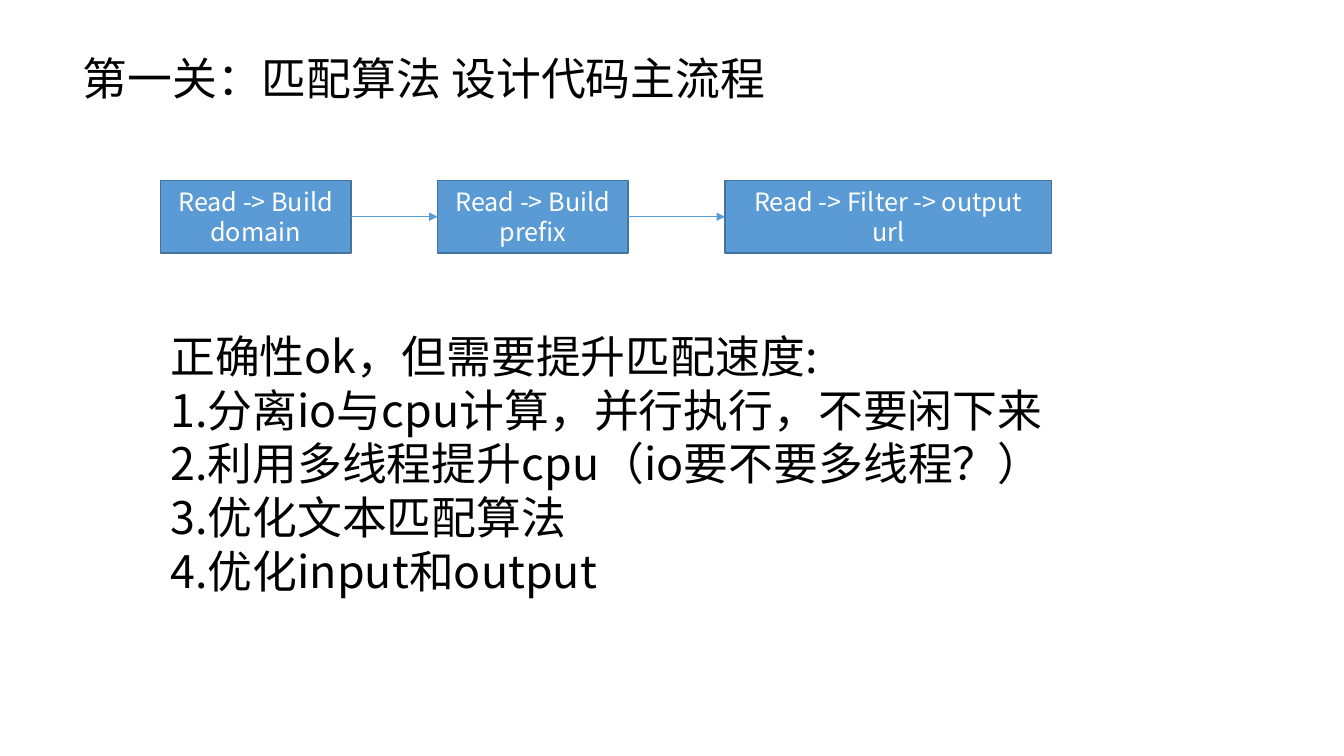
from itertools import pairwise

from lxml.etree import SubElement
from pptx import Presentation
from pptx.dml.color import RGBColor
from pptx.enum.shapes import MSO_CONNECTOR, MSO_SHAPE
from pptx.enum.text import MSO_ANCHOR, MSO_AUTO_SIZE, PP_ALIGN
from pptx.oxml.ns import qn
from pptx.util import Inches, Pt


def color(code):
    return RGBColor.from_string(code)


def write(frame, text, size=32, ink="000000", align=PP_ALIGN.LEFT,
          anchor=MSO_ANCHOR.TOP, font="Noto Sans CJK SC"):
    """Fill a text frame, one paragraph for each line of text."""
    frame.word_wrap = True
    frame.auto_size = MSO_AUTO_SIZE.NONE
    frame.vertical_anchor = anchor
    frame.text = text
    for par in frame.paragraphs:
        par.alignment = align
        for run in par.runs:
            run.font.size = Pt(size)
            run.font.name = font
            run.font.color.rgb = color(ink)
            SubElement(run.font._element, qn("a:ea"), typeface=font)


class Deck:
    """Holds the style and the current slide."""

    fill = "5B9BD5"
    edge = "43739E"

    def __init__(self):
        self.show = Presentation()
        self.show.slide_width = Inches(13.33)
        self.show.slide_height = Inches(7.5)
        self.slide = self.show.slides.add_slide(self.show.slide_layouts[5])
        self.shapes = self.slide.shapes

    def title(self, text, left, top, width, height):
        head = self.shapes.title
        head.left, head.top = Inches(left), Inches(top)
        head.width, head.height = Inches(width), Inches(height)
        write(head.text_frame, text)

    def text(self, text, *place):
        box = self.shapes.add_textbox(*map(Inches, place))
        write(box.text_frame, text)

    def step(self, text, *place):
        box = self.shapes.add_shape(MSO_SHAPE.RECTANGLE, *map(Inches, place))
        box.shadow.inherit = False
        box.fill.solid()
        box.fill.fore_color.rgb = color(self.fill)
        box.line.color.rgb = color(self.edge)
        box.line.width = Pt(1)
        write(box.text_frame, text, size=18, ink="FFFFFF",
              align=PP_ALIGN.CENTER, anchor=MSO_ANCHOR.MIDDLE)
        return box

    def arrow(self, start, end):
        """Join the right side of one box to the left side of the next."""
        link = self.shapes.add_connector(MSO_CONNECTOR.STRAIGHT, 0, 0, 0, 0)
        link.begin_connect(start, 3)
        link.end_connect(end, 1)
        link.line.color.rgb = color(self.fill)
        link.line.width = Pt(0.5)
        SubElement(link.line._get_or_add_ln(), qn("a:tailEnd"), type="triangle")
        SubElement(link._element.spPr, qn("a:effectLst"))


def main():
    deck = Deck()
    deck.title("第一关：匹配算法 设计代码主流程", 0.72, 0.45, 10.12, 0.64)
    deck.text("正确性ok，但需要提升匹配速度:\n"
              "1.分离io与cpu计算，并行执行，不要闲下来\n"
              "2.利用多线程提升cpu（io要不要多线程？）\n"
              "3.优化文本匹配算法\n"
              "4.优化input和output", 1.59, 3.21, 9, 2.79)

    flow = [("Read -> Build domain", 1.59, 1.89),
            ("Read -> Build\nprefix", 4.34, 1.89),
            ("Read -> Filter -> output\nurl", 7.19, 3.24)]
    steps = [deck.step(text, left, 1.79, width, 0.72)
             for text, left, width in flow]
    for start, end in pairwise(steps):
        deck.arrow(start, end)

    deck.show.save("out.pptx")


if __name__ == "__main__":
    main()
